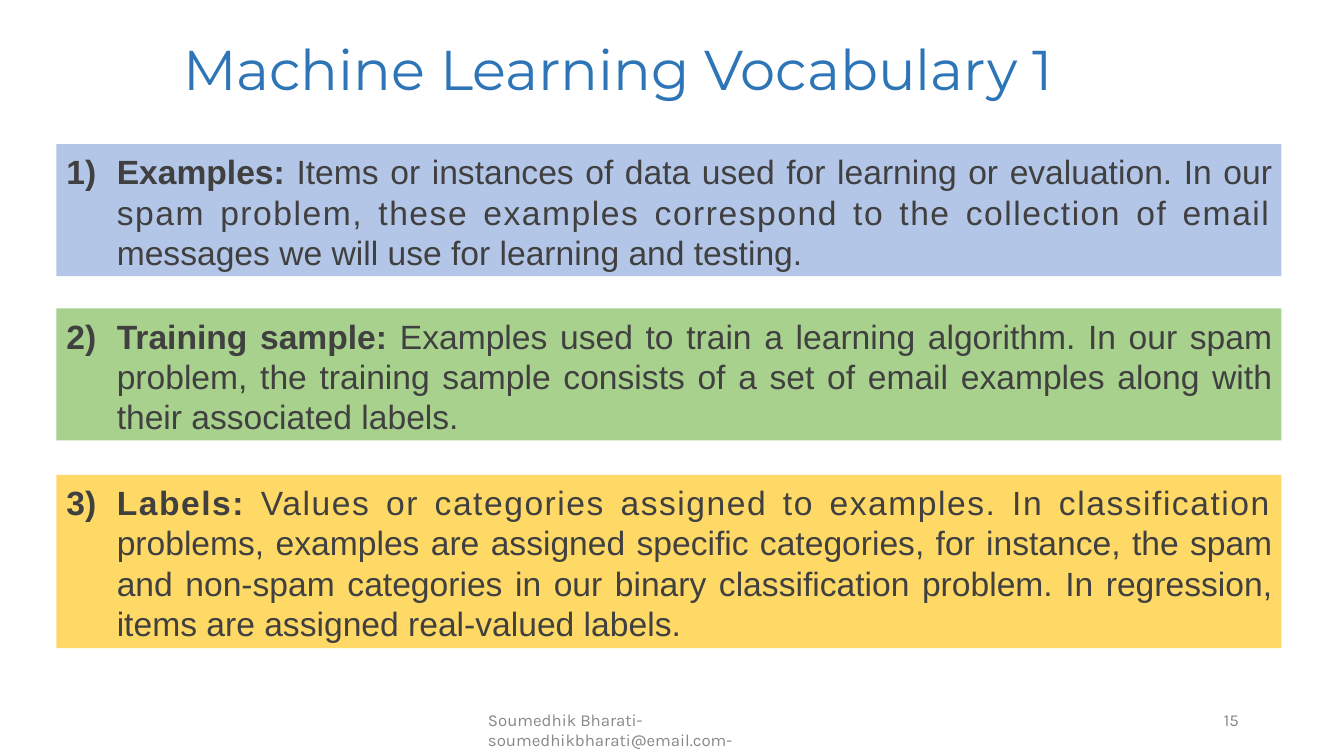
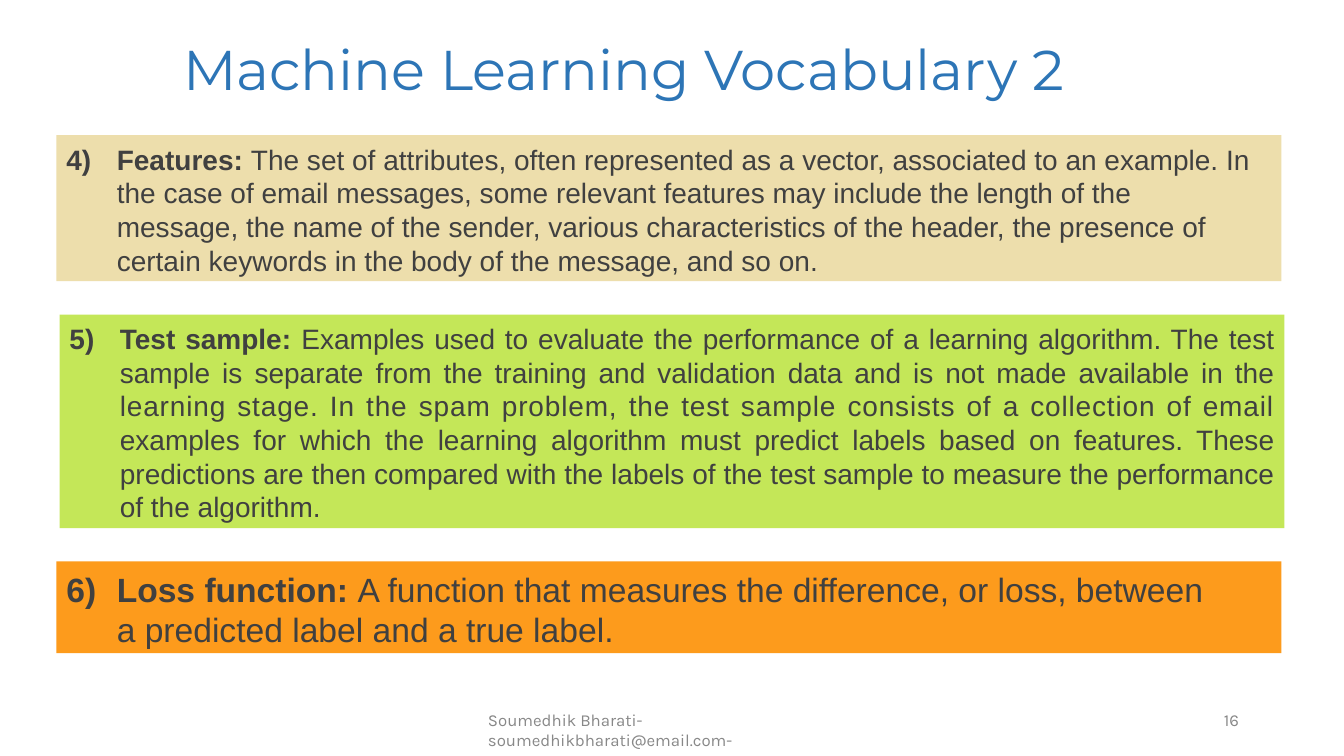
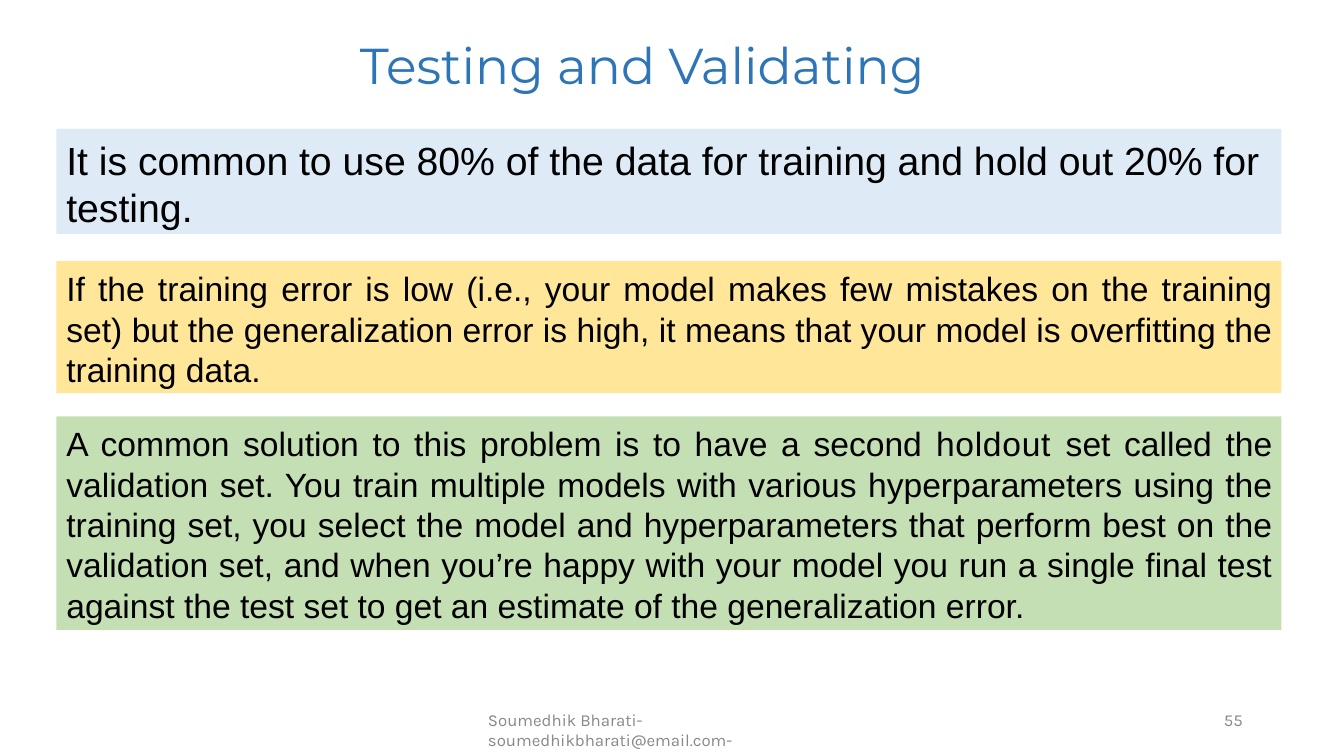
from pptx import Presentation
from pptx.dml.color import RGBColor
from pptx.enum.shapes import MSO_SHAPE as Shape
from pptx.enum.text import MSO_ANCHOR as Anchor, PP_ALIGN as Align
from pptx.util import Inches, Pt

COLORS = {
    "title": "2D75B6", "footer": "888888", "gray": "404040", "black": "000000",
    "blue": "B4C6E7", "green": "A9D18E", "gold": "FFD966",
    "sand": "EDDEAC", "lime": "C4E758", "orange": "FD9B1C",
    "pale_blue": "DEEBF7", "pale_gold": "FFE699", "pale_green": "C5DFB4",
}
BAND_LEFT, BAND_WIDTH = 0.56, 12.15
HANGING = 0.5
FOOTER = "Soumedhik Bharati- soumedhikbharati@email.com-"


def color(name):
    return RGBColor.from_string(COLORS[name])


def set_frame(shape, left=0, top=0, right=0):
    frame = shape.text_frame
    frame.word_wrap = True
    frame.vertical_anchor = Anchor.TOP
    frame.margin_left, frame.margin_top = Inches(left), Inches(top)
    frame.margin_right, frame.margin_bottom = Inches(right), 0
    return frame.paragraphs[0]


def add_run(paragraph, text, font, size, color_name, bold=False, spacing=0):
    run = paragraph.add_run()
    run.text = text
    run.font.name, run.font.size, run.font.bold = font, Pt(size), bold
    run.font.color.rgb = color(color_name)
    if spacing:
        run._r.get_or_add_rPr().set("spc", str(round(spacing * 100)))


def add_text(slide, box, text, font, size, color_name, left=0, top=0):
    shape = slide.shapes.add_textbox(*map(Inches, box))
    add_run(set_frame(shape, left, top), text, font, size, color_name)


def add_band(slide, top, height, fill, size, parts, label=None,
             left=BAND_LEFT, justify=True, right=0.09, text_color="gray"):
    """Draw a filled band; parts are (text, letter spacing) pairs."""
    shape = slide.shapes.add_shape(
        Shape.RECTANGLE, *map(Inches, (left, top, BAND_WIDTH, height)))
    shape.shadow.inherit = False
    shape.fill.solid()
    shape.fill.fore_color.rgb = color(fill)
    shape.line.fill.background()
    paragraph = set_frame(shape, 0.1, 0.07, right)
    paragraph.alignment = Align.JUSTIFY if justify else Align.LEFT
    if label:
        # Number hangs to the left of the term
        properties = paragraph._p.get_or_add_pPr()
        properties.set("marL", str(Inches(HANGING)))
        properties.set("indent", str(-Inches(HANGING)))
        number, term, spacing = label
        add_run(paragraph, f"{number})\t", "Arial", size, text_color, True)
        add_run(paragraph, f"{term}: ", "Arial", size, text_color, True, spacing)
    for text, spacing in parts:
        add_run(paragraph, text, "Arial", size, text_color, spacing=spacing)


def add_slide(presentation, title, number, title_size=40, title_indent=0.98):
    slide = presentation.slides.add_slide(presentation.slide_layouts[6])
    add_text(slide, (0.84, 0.32, 11.64, 0.69), title, "Montserrat", title_size,
             "title", title_indent, 0.02)
    add_text(slide, (4.83, 7.04, 3.68, 0.41), FOOTER, "Karla", 12, "footer", 0.01)
    add_text(slide, (12.13, 7.04, 0.24, 0.22), str(number), "Karla", 12, "footer", 0.01)
    return slide


def build_vocabulary_1(presentation):
    slide = add_slide(presentation, "Machine Learning Vocabulary 1", 15)
    add_band(slide, 1.43, 1.31, "blue", 24, [
        ("Items or instances of data used for learning or evaluation. In our ", 0),
        ("spam problem, these examples correspond to the collection of email ", 1.1),
        ("messages we will use for learning and testing.", 0),
    ], (1, "Examples", 0))
    add_band(slide, 3.06, 1.31, "green", 24, [
        ("Examples used to train a learning algorithm. In our spam problem, the "
         "training sample consists of a set of email examples along with their "
         "associated labels.", 0),
    ], (2, "Training sample", 0))
    add_band(slide, 4.71, 1.72, "gold", 24, [
        ("Values or categories assigned to examples. In classification ", 1.1),
        ("problems, examples are assigned specific categories, for instance, the "
         "spam and non-spam categories in our binary classification problem. In "
         "regression, items are assigned real-valued labels.", 0),
    ], (3, "Labels", 1.1))


def build_vocabulary_2(presentation):
    slide = add_slide(presentation, "Machine Learning Vocabulary 2", 16)
    add_band(slide, 1.34, 1.45, "sand", 20, [
        ("The set of attributes, often represented as a vector, associated to an "
         "example. In the case of email messages, some relevant features may "
         "include the length of the message, the name of the sender, various "
         "characteristics of the header, the presence of certain keywords in the "
         "body of the message, and so on.", 0),
    ], (4, "Features", 0), justify=False, right=0.25)
    add_band(slide, 3.12, 2.12, "lime", 20, [
        ("Examples used to evaluate the performance of a learning algorithm. The "
         "test sample is separate from the training and validation data and is "
         "not made available in the ", 0),
        ("learning stage. In the spam problem, the test sample consists of a "
         "collection of email ", 0.6),
        ("examples for which the learning algorithm must predict labels based on "
         "features. These predictions are then compared with the labels of the "
         "test sample to measure the performance of the algorithm.", 0),
    ], (5, "Test sample", 0), left=0.59)
    add_band(slide, 5.57, 0.91, "orange", 24, [
        ("A function that measures the difference, or loss, between a predicted "
         "label and a true label.", 0),
    ], (6, "Loss function", 0), justify=False, right=0.65)


def build_testing(presentation):
    slide = add_slide(presentation, "Testing and Validating", 55, 36, 2.73)
    add_band(slide, 1.28, 1.04, "pale_blue", 28, [
        ("It is common to use 80% of the data for training and hold out 20% for "
         "testing.", 0),
    ], justify=False, text_color="black")
    add_band(slide, 2.59, 1.31, "pale_gold", 24, [
        ("If the training error is low (i.e., your model makes few mistakes on "
         "the training set) but the generalization error is high, it means that "
         "your model is overfitting the training data.", 0),
    ], text_color="black")
    add_band(slide, 4.13, 2.12, "pale_green", 24, [
        ("A common solution to this problem is to have a second ", 0),
        ("holdout ", 0.5),
        ("set called the validation set. You train multiple models with various "
         "hyperparameters using the training set, you select the model and "
         "hyperparameters that perform best on the validation set, and when "
         "you’re happy with your model you run a single final test against the "
         "test set to get an estimate of the generalization error.", 0),
    ], text_color="black")


def main():
    presentation = Presentation()
    presentation.slide_width = Inches(13.33)
    presentation.slide_height = Inches(7.5)
    build_vocabulary_1(presentation)
    build_vocabulary_2(presentation)
    build_testing(presentation)
    presentation.save("out.pptx")


if __name__ == "__main__":
    main()
